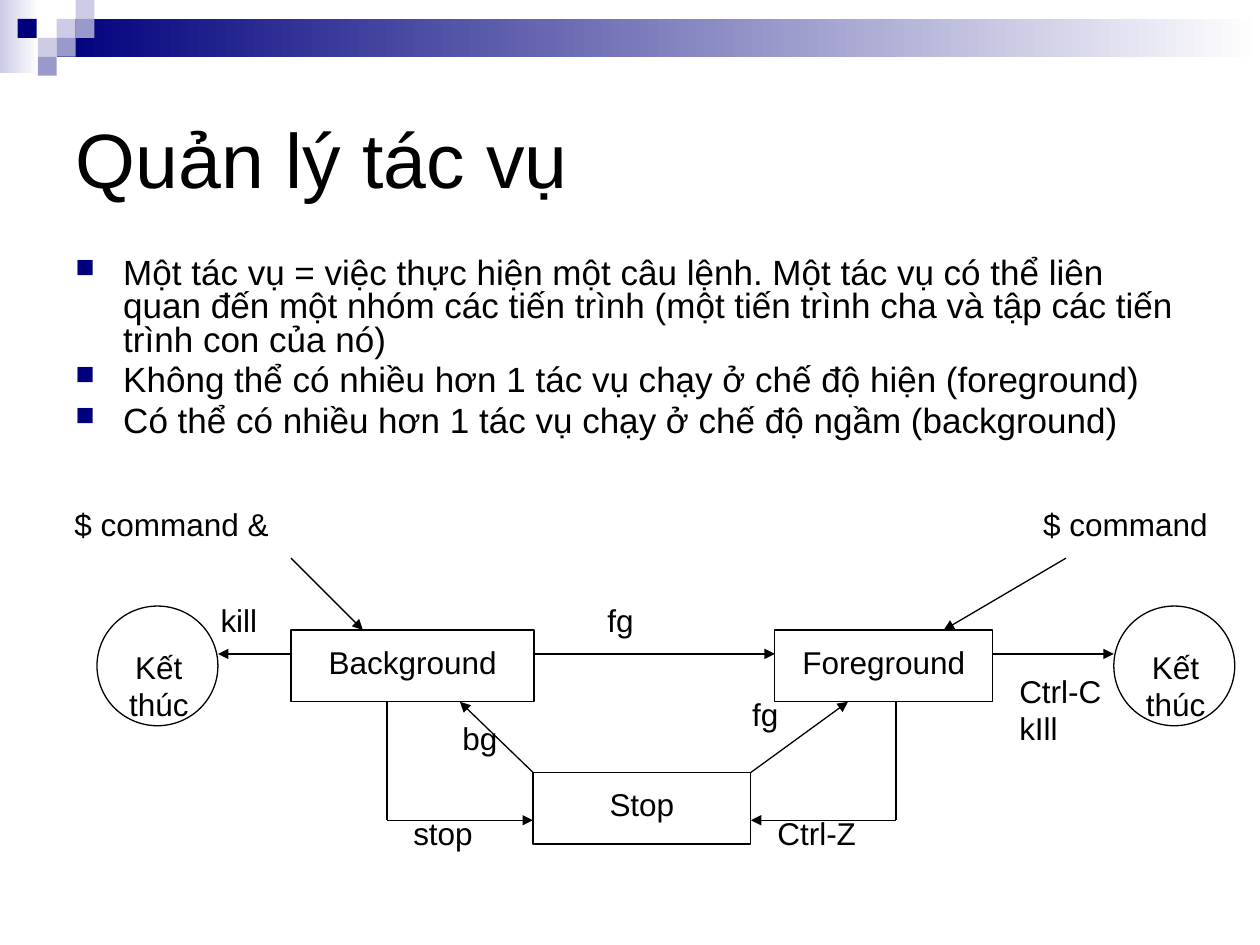
"""Build the slide on job control: rules, then a diagram of job states."""
from typing import NamedTuple

from lxml.etree import SubElement
from pptx import Presentation
from pptx.dml.color import RGBColor
from pptx.enum.shapes import MSO_CONNECTOR, MSO_SHAPE
from pptx.enum.text import MSO_ANCHOR, PP_ALIGN
from pptx.oxml.ns import qn
from pptx.util import Inches, Pt

BLACK = RGBColor(0x00, 0x00, 0x00)
WHITE = RGBColor(0xFF, 0xFF, 0xFF)
NAVY = RGBColor(0x00, 0x00, 0x7D)
LILAC = RGBColor(0xCC, 0xCC, 0xE6)
VIOLET = RGBColor(0x99, 0x99, 0xCC)
FONT = "Arial"
TILE = 0.15


class Band(NamedTuple):
    left: float
    top: float
    width: float
    height: float
    start: RGBColor


class Tile(NamedTuple):
    left: float
    top: float
    color: RGBColor


class State(NamedTuple):
    text: str
    left: float
    top: float
    width: float


class Label(NamedTuple):
    text: str
    left: float
    top: float
    width: float
    align: PP_ALIGN = PP_ALIGN.LEFT


class Link(NamedTuple):
    x1: float
    y1: float
    x2: float
    y2: float
    arrow: bool = True


BANDS = [Band(0, 0, 0.31, 0.58, LILAC), Band(0.45, 0.15, 9.55, 0.3, NAVY)]
TILES = [
    Tile(0.45, 0.15, LILAC),
    Tile(0.6, 0, LILAC),
    Tile(0.6, 0.15, VIOLET),
    Tile(0.3, 0.3, LILAC),
    Tile(0.14, 0.15, NAVY),
    Tile(0.45, 0.3, VIOLET),
    Tile(0.3, 0.45, VIOLET),
]
RULES = [
    "Một tác vụ = việc thực hiện một câu lệnh. Một tác vụ có thể liên quan đến "
    "một nhóm các tiến trình (một tiến trình cha và tập các tiến trình con của nó)",
    "Không thể có nhiều hơn 1 tác vụ chạy ở chế độ hiện (foreground)",
    "Có thể có nhiều hơn 1 tác vụ chạy ở chế độ ngầm (background)",
]
LINKS = [
    Link(2.31, 5.19, 1.73, 5.19),
    Link(4.23, 5.19, 6.15, 5.19),
    Link(7.11, 5.57, 7.11, 6.51, arrow=False),
    Link(7.11, 6.51, 5.96, 6.51),
    Link(3.07, 5.57, 3.07, 6.51, arrow=False),
    Link(3.07, 6.51, 4.23, 6.51),
    Link(7.88, 5.19, 8.84, 5.19),
    Link(2.31, 4.43, 2.88, 5),
    Link(8.46, 4.43, 7.49, 5),
    Link(4.23, 6.13, 3.65, 5.57),
    Link(5.96, 6.13, 6.73, 5.57),
]
STATES = [
    State("Background", 2.31, 5, 1.93),
    State("Foreground", 6.15, 5, 1.73),
    State("Stop", 4.23, 6.13, 1.73),
]
END_LEFTS = [0.77, 8.84]
LABELS = [
    Label("$ command", 8.27, 4, 1.73),
    Label("$ command &", 0.58, 4, 1.92),
    Label("fg", 4.81, 4.76, 0.39),
    Label("kill", 1.74, 4.76, 0.58),
    Label("Ctrl-C\nkIll", 8.08, 5.32, 0.96),
    Label("fg", 5.96, 5.51, 0.39),
    Label("bg", 3.66, 5.7, 0.39),
    Label("Ctrl-Z", 6.16, 6.45, 1.73),
    Label("stop", 3.27, 6.45, 0.58),
] + [Label("Kết thúc", left + 0.2, 5.13, 0.58, PP_ALIGN.CENTER) for left in END_LEFTS]


def add_run(paragraph, text: str, size: float) -> None:
    """Add one black run of text."""
    run = paragraph.add_run()
    run.text = text
    run.font.name = FONT
    run.font.size = Pt(size)
    run.font.color.rgb = BLACK


def prepare_frame(frame, inset: float | None = None, anchor=MSO_ANCHOR.TOP):
    """Set wrapping, anchor and equal insets of a text frame."""
    frame.word_wrap = True
    frame.vertical_anchor = anchor
    if inset is not None:
        frame.margin_left = frame.margin_right = Inches(inset)
        frame.margin_top = frame.margin_bottom = Inches(inset)
    return frame


def add_plain_shape(slide, kind, left: float, top: float, width: float, height: float):
    """Add a preset shape without shadow."""
    shape = slide.shapes.add_shape(
        kind, Inches(left), Inches(top), Inches(width), Inches(height)
    )
    shape.shadow.inherit = False
    return shape


def add_band(slide, band: Band) -> None:
    """Add a bar that fades to white on the right."""
    bar = add_plain_shape(slide, MSO_SHAPE.RECTANGLE, *band[:4])
    bar.line.fill.background()
    bar.fill.gradient()
    bar.fill.gradient_angle = 0
    for stop, color, position in zip(bar.fill.gradient_stops, (band.start, WHITE), (0, 1)):
        stop.color.rgb = color
        stop.position = position


def add_tile(slide, tile: Tile) -> None:
    """Add one square of the corner mosaic."""
    square = add_plain_shape(slide, MSO_SHAPE.RECTANGLE, tile.left, tile.top, TILE, TILE)
    square.fill.solid()
    square.fill.fore_color.rgb = tile.color
    square.line.fill.background()


def add_outline(slide, kind, left: float, top: float, width: float, height: float):
    """Add an unfilled shape with a thin black line."""
    outline = add_plain_shape(slide, kind, left, top, width, height)
    outline.fill.background()
    outline.line.color.rgb = BLACK
    outline.line.width = Pt(0.75)
    return outline


def add_state(slide, state: State) -> None:
    """Add a box that names a job state."""
    box = add_outline(
        slide, MSO_SHAPE.RECTANGLE, state.left, state.top, state.width, 0.57
    )
    paragraph = prepare_frame(box.text_frame, 0.01).paragraphs[0]
    paragraph.alignment = PP_ALIGN.CENTER
    paragraph.line_spacing = 1.3
    add_run(paragraph, state.text, 18)


def add_text_box(slide, left: float, top: float, width: float, height: float):
    """Add an empty text box and return its frame."""
    return slide.shapes.add_textbox(
        Inches(left), Inches(top), Inches(width), Inches(height)
    ).text_frame


def add_label(slide, label: Label) -> None:
    """Add a label with one paragraph for each line."""
    frame = prepare_frame(
        add_text_box(slide, label.left, label.top, label.width, 0.38), 0.01
    )
    for index, line in enumerate(label.text.split("\n")):
        paragraph = frame.add_paragraph() if index else frame.paragraphs[0]
        paragraph.alignment = label.align
        add_run(paragraph, line, 18)


def add_link(slide, link: Link) -> None:
    """Add a line, with an arrowhead at its end if wanted."""
    connector = slide.shapes.add_connector(
        MSO_CONNECTOR.STRAIGHT, *(Inches(value) for value in link[:4])
    )
    connector.line.color.rgb = BLACK
    connector.line.width = Pt(0.75 if link.arrow else 1)
    if link.arrow:
        SubElement(connector.line._get_or_add_ln(), qn("a:tailEnd"), type="triangle")
    SubElement(connector._element.spPr, qn("a:effectLst"))


def add_rules(slide) -> None:
    """Add the bulleted rules."""
    frame = prepare_frame(add_text_box(slide, 0.5, 2, 9, 2))
    for index, rule in enumerate(RULES):
        paragraph = frame.add_paragraph() if index else frame.paragraphs[0]
        properties = paragraph._p.get_or_add_pPr()
        properties.set("marL", str(Inches(0.38)))
        properties.set("indent", str(-Inches(0.38)))
        bullet_color = SubElement(properties, qn("a:buClr"))
        SubElement(bullet_color, qn("a:srgbClr"), val=str(NAVY))
        SubElement(properties, qn("a:buSzPct"), val="75000")
        SubElement(properties, qn("a:buChar"), char="■")
        paragraph.line_spacing = 0.8
        if index:
            paragraph.space_before = Pt(4)
        add_run(paragraph, rule, 20)


def add_title(slide, text: str) -> None:
    """Place and fill the title."""
    title = slide.shapes.title
    title.left, title.top = Inches(0.5), Inches(0.5)
    title.width, title.height = Inches(9), Inches(1.5)
    paragraph = prepare_frame(title.text_frame, anchor=MSO_ANCHOR.MIDDLE).paragraphs[0]
    paragraph.alignment = PP_ALIGN.LEFT
    add_run(paragraph, text, 44)


def main() -> None:
    """Build and save the presentation."""
    deck = Presentation()
    deck.slide_width, deck.slide_height = Inches(10), Inches(7.5)
    slide = deck.slides.add_slide(deck.slide_layouts[5])
    for band in BANDS:
        add_band(slide, band)
    for tile in TILES:
        add_tile(slide, tile)
    add_title(slide, "Quản lý tác vụ")
    add_rules(slide)
    for link in LINKS:
        add_link(slide, link)
    for state in STATES:
        add_state(slide, state)
    for left in END_LEFTS:
        add_outline(slide, MSO_SHAPE.OVAL, left, 4.81, 0.96, 0.95)
    for label in LABELS:
        add_label(slide, label)
    deck.save("out.pptx")


if __name__ == "__main__":
    main()
